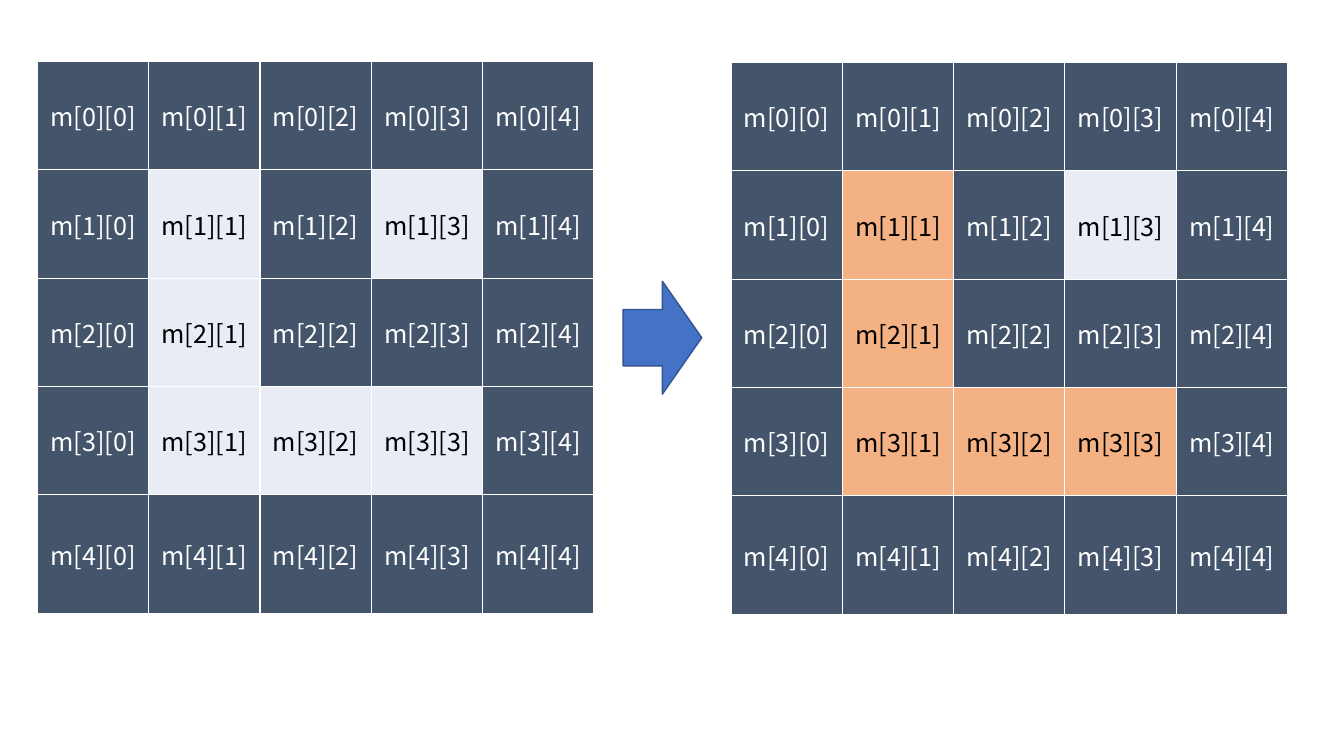
from dataclasses import dataclass

from lxml.etree import SubElement
from pptx import Presentation
from pptx.dml.color import RGBColor
from pptx.enum.shapes import MSO_SHAPE
from pptx.enum.text import MSO_ANCHOR, PP_ALIGN
from pptx.oxml.ns import qn
from pptx.util import Inches, Pt

COLOURS = {
    "wall": "44546A",
    "open": "E9EBF5",
    "route": "F4B183",
    "white": "FFFFFF",
    "black": "000000",
    "arrow": "4472C4",
    "arrow_edge": "325491",
}
FONT = "Noto Sans CJK JP"
CELL_KINDS = {"#": "wall", ".": "open", "*": "route"}

GRID_WIDTH, GRID_HEIGHT, LAST_ROW_HEIGHT = 5.52, 5.48, 1.18


@dataclass
class Maze:
    left: float
    top: float
    rows: list[str]


MAZES = [
    Maze(0.37, 0.61, ["#####", "#.#.#", "#.###", "#...#", "#####"]),
    Maze(7.25, 0.62, ["#####", "#*#.#", "#*###", "#***#", "#####"]),
]


def colour(name: str) -> RGBColor:
    return RGBColor.from_string(COLOURS[name])


def write(cell, text: str, *, size: float, ink: str) -> None:
    cell.vertical_anchor = MSO_ANCHOR.MIDDLE
    para = cell.text_frame.paragraphs[0]
    para.alignment = PP_ALIGN.CENTER
    span = para.add_run()
    span.text = text
    span.font.name = FONT
    span.font.size = Pt(size)
    span.font.color.rgb = colour(ink)


def add_borders(cell, name: str, width: float) -> None:
    properties = cell._tc.get_or_add_tcPr()
    for position, side in enumerate(("lnL", "lnR", "lnT", "lnB")):
        line = SubElement(properties, qn(f"a:{side}"), w=str(Pt(width)))
        fill = SubElement(line, qn("a:solidFill"))
        SubElement(fill, qn("a:srgbClr"), val=COLOURS[name])
        properties.insert(position, line)


def draw_maze(page, maze: Maze) -> None:
    row_count, column_count = len(maze.rows), len(maze.rows[0])
    table = page.shapes.add_table(
        row_count, column_count, Inches(maze.left), Inches(maze.top),
        Inches(GRID_WIDTH), Inches(GRID_HEIGHT),
    ).table
    for column in table.columns:
        column.width = Inches(GRID_WIDTH / column_count)
    for row in table.rows:
        row.height = Inches((GRID_HEIGHT - LAST_ROW_HEIGHT) / (row_count - 1))
    table.rows[row_count - 1].height = Inches(LAST_ROW_HEIGHT)

    for i, symbols in enumerate(maze.rows):
        for j, symbol in enumerate(symbols):
            kind = CELL_KINDS[symbol]
            cell = table.cell(i, j)
            cell.fill.solid()
            cell.fill.fore_color.rgb = colour(kind)
            add_borders(cell, "white", 1)
            ink = "white" if kind == "wall" else "black"
            write(cell, f"m[{i}][{j}]", size=18, ink=ink)


deck = Presentation()
deck.slide_width, deck.slide_height = Inches(13.33), Inches(7.5)
page = deck.slides.add_slide(deck.slide_layouts[6])

# Maze before and after the route is marked
for maze in MAZES:
    draw_maze(page, maze)

# Arrow between the mazes
arrow = page.shapes.add_shape(
    MSO_SHAPE.RIGHT_ARROW, Inches(6.18), Inches(2.79), Inches(0.78), Inches(1.12)
)
arrow.shadow.inherit = False
arrow.fill.solid()
arrow.fill.fore_color.rgb = colour("arrow")
arrow.line.color.rgb = colour("arrow_edge")
arrow.line.width = Pt(1)

deck.save("out.pptx")
